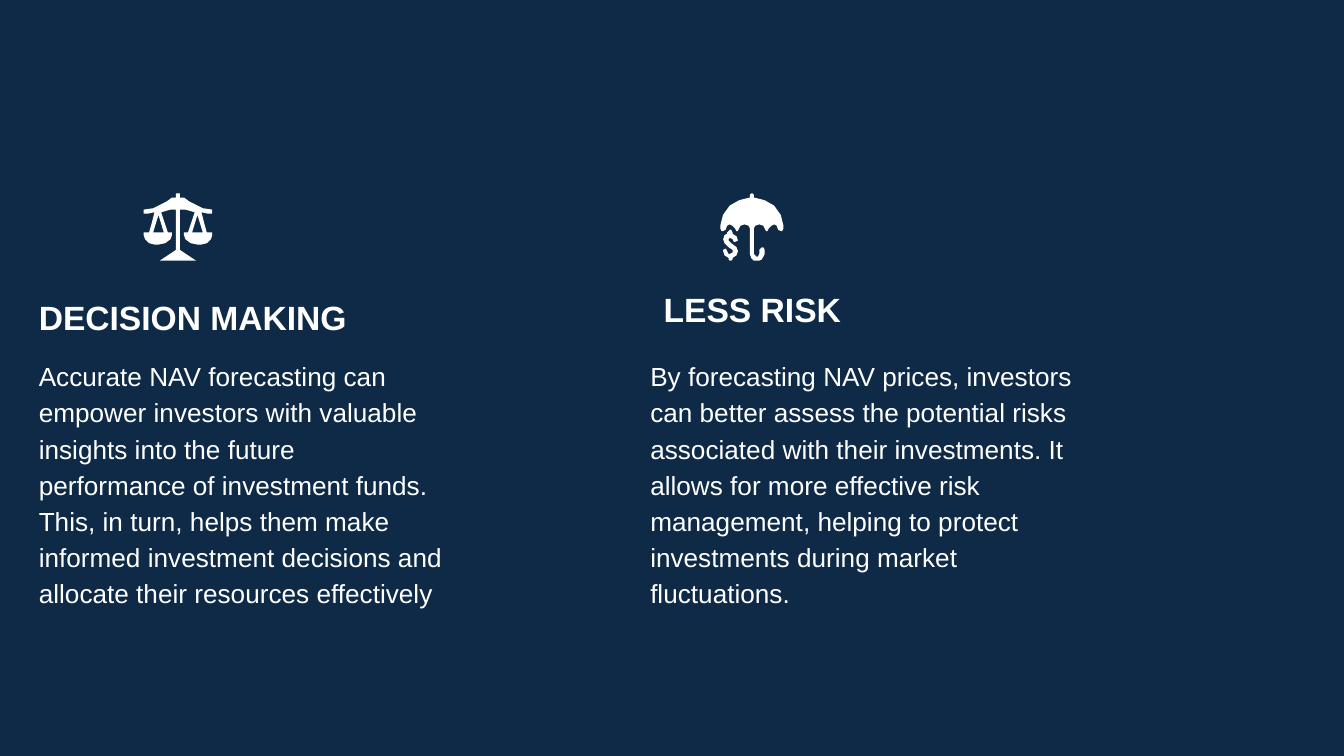
import pptx
import pptx.util
import pptx.dml.color
import pptx.enum.text

Pt = pptx.util.Pt
Anchor = pptx.enum.text.MSO_ANCHOR


def paint(fill, code):
    fill.solid()
    fill.fore_color.rgb = pptx.dml.color.RGBColor.from_string(code)


deck = pptx.Presentation()
deck.slide_width = Pt(720)
deck.slide_height = Pt(405)
slide = deck.slides.add_slide(deck.slide_layouts[6])
paint(slide.background.fill, "0E2A47")

head = {"size": Pt(18), "bold": True, "name": "Arial"}
body = {"size": Pt(14), "bold": False, "name": "Arial"}
inset = {"margin_left": Pt(7.2), "margin_right": Pt(7.2),
         "margin_top": Pt(7.2), "margin_bottom": Pt(7.2), "word_wrap": True}

texts = [
    (13.7, 151.2, 181.4, 36.7, Anchor.BOTTOM, head, "DECISION MAKING"),
    (348.5, 146.9, 181.4, 36.7, Anchor.BOTTOM, head, "LESS RISK"),
    (13.7, 183.6, 231.1, 164.2, Anchor.TOP, body,
     "Accurate NAV forecasting can empower investors with valuable insights "
     "into the future performance of investment funds. This, in turn, helps "
     "them make informed investment decisions and allocate their resources "
     "effectively"),
    (341.3, 183.6, 249.1, 154.8, Anchor.TOP, body,
     "By forecasting NAV prices, investors can better assess the potential "
     "risks associated with their investments. It allows for more effective "
     "risk management, helping to protect investments during "
     "market fluctuations."),
]
for left, top, wide, high, anchor, style, words in texts:
    box = slide.shapes.add_textbox(Pt(left), Pt(top), Pt(wide), Pt(high))
    frame = box.text_frame
    for key, value in inset.items():
        setattr(frame, key, value)
    frame.vertical_anchor = anchor
    para = frame.paragraphs[0]
    para.line_spacing = 1.15
    run = para.add_run()
    run.text = words
    for key, value in style.items():
        setattr(run.font, key, value)
    paint(run.font.fill, "FFFFFF")

half = [(24, 0), (24, 3), (21, 3), (17, 6), (11, 9), (7, 11), (0, 12), (0, 15),
        (3, 15), (8, 14), (6, 22), (4, 29), (0, 29), (0, 31), (1, 34), (4, 37),
        (8, 38), (11, 38), (16, 37), (20, 34), (21, 31), (21, 29), (18, 29),
        (13, 14), (20, 12), (24, 12), (24, 42), (12, 50)]
gap = [(11, 16), (15, 29), (7, 29)]
scales = [half + [(51 - x, y) for x, y in reversed(half)],
          gap, [(51 - x, y) for x, y in gap]]

dollar = [(5, 0), (3, 2), (3, 3), (1, 4), (0, 7), (1, 10), (4, 13), (7, 15),
          (7, 17), (5, 18), (4, 18), (3, 16), (2, 14), (0, 15), (0, 16),
          (1, 19), (4, 21), (4, 22), (5, 23), (6, 23), (7, 22), (7, 21),
          (10, 19), (11, 16), (10, 13), (6, 10), (4, 8), (4, 7), (5, 6),
          (7, 7), (8, 9), (9, 9), (11, 8), (10, 5), (7, 3), (7, 2), (6, 0)]

dome = [(23, 0), (22, 1), (22, 3), (14, 5), (7, 9), (2, 16), (0, 24), (0, 26),
        (1, 28), (2, 28), (4, 27), (5, 24), (7, 23), (9, 24), (11, 26),
        (12, 28), (13, 28), (14, 26), (15, 24), (18, 23), (21, 24), (22, 26)]
hook = [(22, 45), (23, 48), (25, 50), (27, 50), (29, 50), (31, 49), (33, 45),
        (33, 42), (32, 40), (31, 40), (29, 42), (29, 45), (28, 47), (27, 47),
        (25, 45)]
brolly = dome + hook + [(47 - x, y) for x, y in reversed(dome)]

icons = [(77, 103.7, scales), (387.4, 123.1, [dollar]), (385.9, 103.7, [brolly])]
for left, top, loops in icons:
    pen = slide.shapes.build_freeform(*loops[0][0], scale=Pt(0.72))
    for count, loop in enumerate(loops):
        if count:
            pen.move_to(*loop[0])
        pen.add_line_segments(loop[1:], close=True)
    icon = pen.convert_to_shape(Pt(left), Pt(top))
    paint(icon.fill, "FFFFFF")
    icon.line.fill.background()
    icon.shadow.inherit = False

deck.save("out.pptx")
